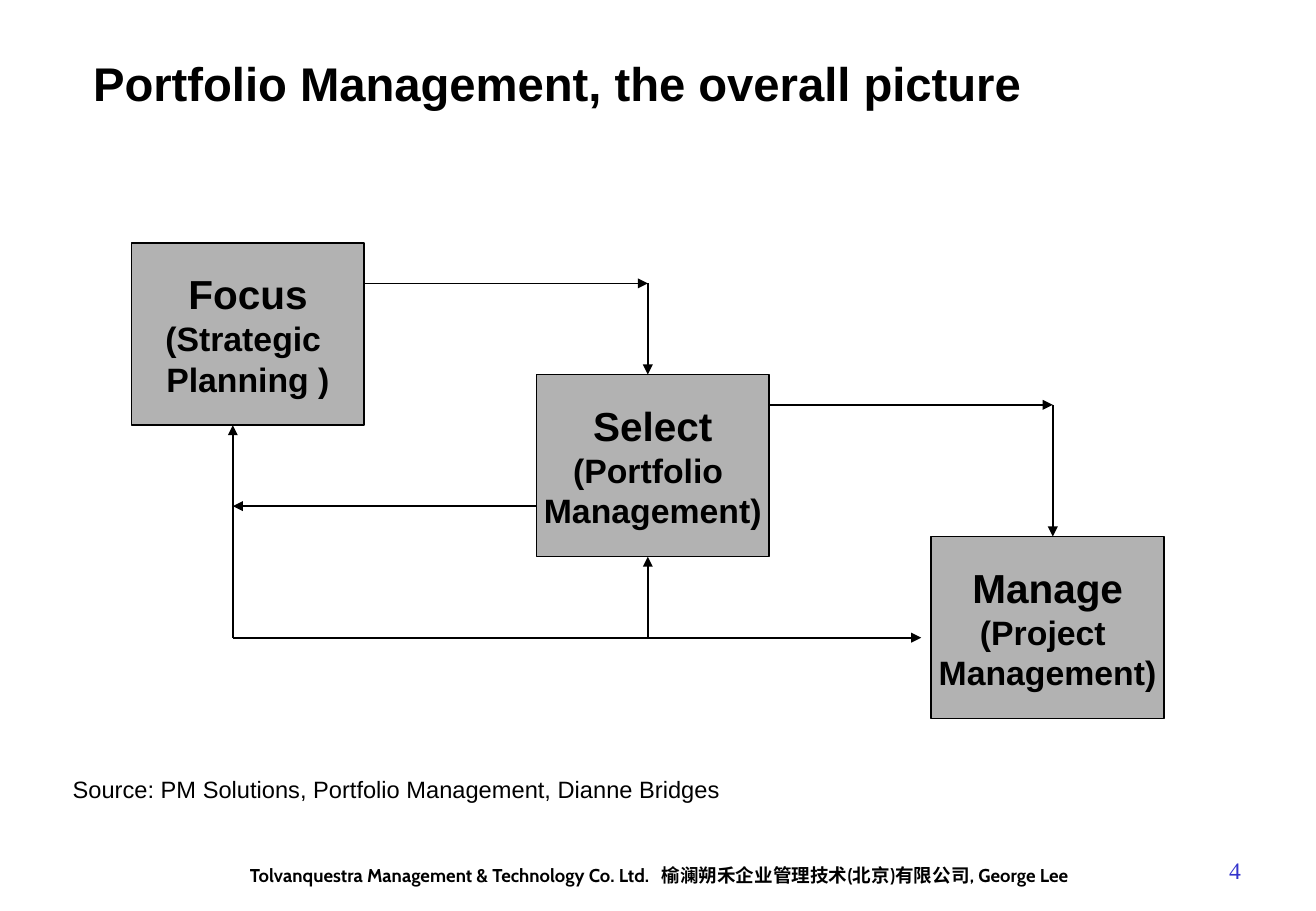
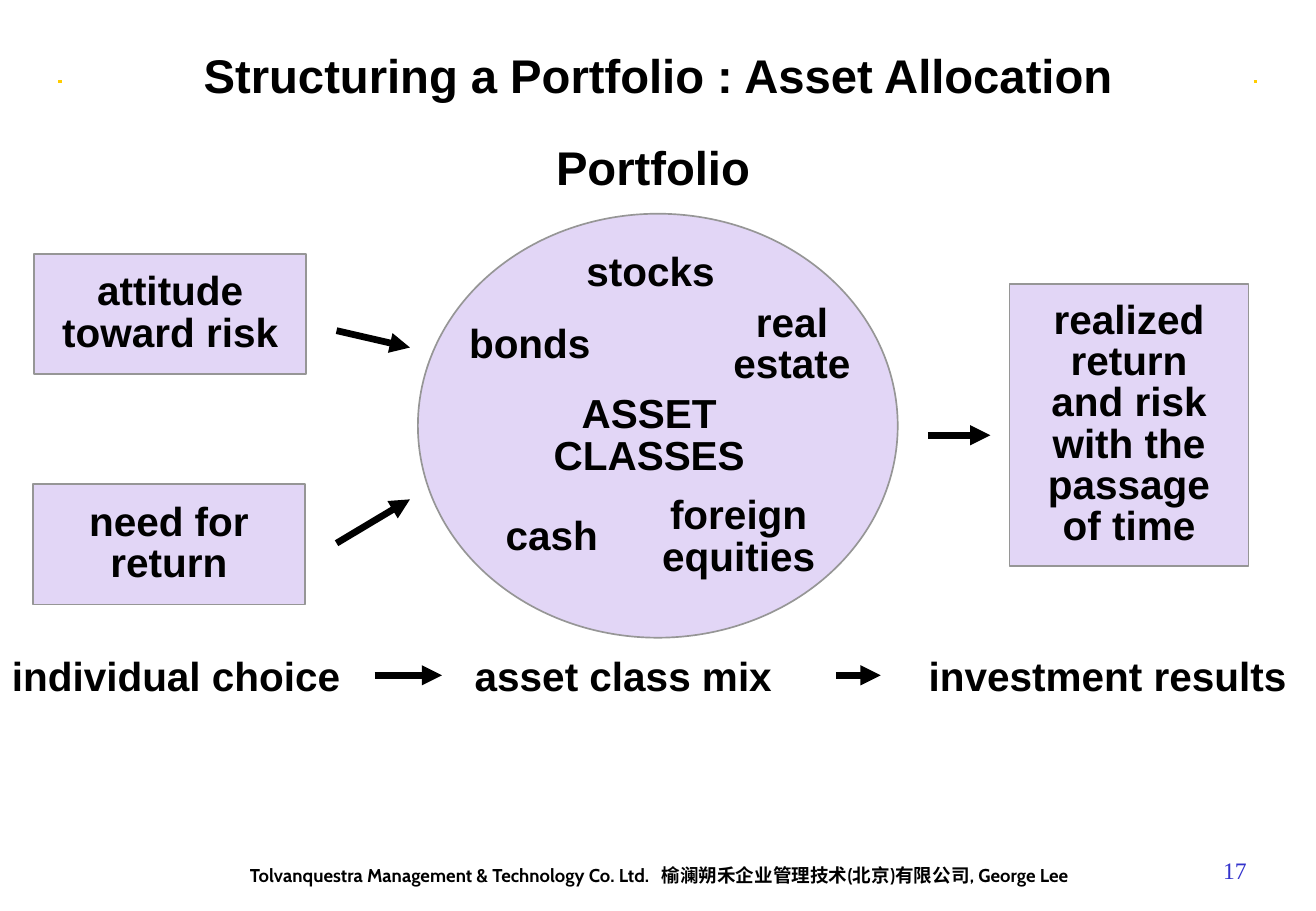
"""Build two portfolio management slides: an overview flow and an asset allocation diagram."""
from lxml import etree
from pptx import Presentation
from pptx.dml.color import RGBColor
from pptx.enum import shapes, text
from pptx.oxml.ns import qn
from pptx.util import Pt

BLACK = RGBColor(0x00, 0x00, 0x00)
GREY = RGBColor(0xB2, 0xB2, 0xB2)
EDGE = RGBColor(0x96, 0x96, 0x96)
LILAC = RGBColor(0xE2, 0xD6, 0xF6)
BLUE = RGBColor(0x33, 0x33, 0xCC)
YELLOW = RGBColor(0xFF, 0xCC, 0x00)

LEFT, CENTER = text.PP_ALIGN.LEFT, text.PP_ALIGN.CENTER
TOP, MIDDLE = text.MSO_ANCHOR.TOP, text.MSO_ANCHOR.MIDDLE
RECTANGLE, OVAL = shapes.MSO_SHAPE.RECTANGLE, shapes.MSO_SHAPE.OVAL

HEADING = {"name": "Arial", "size": Pt(28), "bold": True}
LARGE = {"name": "Arial", "size": Pt(24), "bold": True}
MEDIUM = {"name": "Arial", "size": Pt(20), "bold": True}
SOURCE = {"name": "Arial", "size": Pt(14), "bold": False}
FOOTER = {"name": "Cabin", "size": Pt(11), "bold": True}
NUMBER = {"name": "Times New Roman", "size": Pt(14), "bold": False}

FOOTER_TEXT = ("Tolvanquestra Management & Technology Co. Ltd.\t"
               "榆澜朔禾企业管理技术(北京)有限公司, George Lee")
FOOTER_TAB = 244
SOURCE_TEXT = "Source: PM Solutions, Portfolio Management, Dianne Bridges"

STAGE_SIZE = (138, 108)
STAGES = [
    ((78, 144), ["Focus", "(Strategic ", "Planning )"]),
    ((318, 222), ["Select", "(Portfolio ", "Management)"]),
    ((552, 318), ["Manage", "(Project ", "Management)"]),
]
FLOW_ARROWS = [
    (216, 168, 384, 168), (384, 168, 384, 222),
    (138, 378, 546, 378), (138, 378, 138, 252),
    (318, 300, 138, 300), (456, 240, 624, 240),
    (624, 240, 624, 318), (384, 378, 384, 330),
]

FACTORS = [
    ((20.2, 150.5, 161.3, 71.3), ["attitude", "toward risk"]),
    ((19.5, 287, 161.3, 71.3), ["need for", "return"]),
    ((598.3, 168.5, 141.8, 167),
     ["realized", "return", "and risk", "with the", "passage", "of time"]),
]
PORTFOLIO_OVAL = (247.7, 126.7, 284.4, 251.3)
ASSET_WIDTH = 140
ASSETS = [
    (385.6, 147, ["stocks"]),
    (314, 189.4, ["bonds"]),
    (469.4, 177, ["real", "estate"]),
    (384.8, 231, ["ASSET", "CLASSES"]),
    (327, 303, ["cash"]),
    (437.8, 291, ["foreign", "equities"]),
]
PHASES = [(0, "individual choice"), (274.3, "asset class mix"), (543.4, "investment results")]
ALLOCATION_ARROWS = [
    (199.5, 196, 243, 206), (199.5, 322, 243, 296), (550, 258, 587, 258),
    (222, 400.3, 262, 400.3), (495.5, 400.3, 522, 400.3),
]
TICKS = [(34.6, 48.2, 36.7, 48.2), (743, 48.2, 745.2, 48.2)]


def place(shape, box):
    """Set a shape's left, top, width and height in points."""
    for name, value in zip(("left", "top", "width", "height"), box):
        setattr(shape, name, Pt(value))


def write(shape, lines, formats, align=CENTER, anchor=TOP, wrap=True,
          spacing=1.0, color=BLACK):
    """Write one paragraph per line; the last format serves any further lines."""
    frame = shape.text_frame
    settings = {"auto_size": text.MSO_AUTO_SIZE.NONE, "word_wrap": wrap,
                "vertical_anchor": anchor, "margin_left": Pt(7.2),
                "margin_right": Pt(7.2), "margin_top": Pt(3.6), "margin_bottom": Pt(3.6)}
    for name, value in settings.items():
        setattr(frame, name, value)
    for index, line in enumerate(lines):
        paragraph = frame.paragraphs[0] if index == 0 else frame.add_paragraph()
        paragraph.alignment = align
        paragraph.line_spacing = spacing
        run = paragraph.add_run()
        run.text = line
        for name, value in formats[min(index, len(formats) - 1)].items():
            setattr(run.font, name, value)
        run.font.color.rgb = color


def add_label(slide, box, lines, font, **options):
    label = slide.shapes.add_textbox(*map(Pt, box))
    write(label, lines, [font], **options)
    return label


def add_block(slide, kind, box, fill, edge):
    block = slide.shapes.add_shape(kind, *map(Pt, box))
    block.shadow.inherit = False
    block.fill.solid()
    block.fill.fore_color.rgb = fill
    block.line.color.rgb = edge
    block.line.width = Pt(1)
    return block


def add_lines(slide, segments, width, color=BLACK, arrow=True):
    for segment in segments:
        line = slide.shapes.add_connector(shapes.MSO_CONNECTOR.STRAIGHT, *map(Pt, segment))
        line.line.color.rgb = color
        line.line.width = Pt(width)
        if arrow:
            etree.SubElement(line.line._get_or_add_ln(), qn("a:tailEnd"), type="triangle")
        etree.SubElement(line._element.spPr, qn("a:effectLst"))


def add_slide(presentation, title, title_box, number, **title_options):
    """Add a title-only slide with the shared footer and page number."""
    slide = presentation.slides.add_slide(presentation.slide_layouts[5])
    place(slide.shapes.title, title_box)
    write(slide.shapes.title, [title], [HEADING], **title_options)
    footer = add_label(slide, (141, 508.7, 560, 21), [FOOTER_TEXT], FOOTER, align=LEFT)
    properties = footer.text_frame.paragraphs[0]._p.get_or_add_pPr()
    tabs = etree.SubElement(properties, qn("a:tabLst"))
    etree.SubElement(tabs, qn("a:tab"), pos=str(Pt(FOOTER_TAB)), algn="l")
    add_label(slide, (684, 498, 96, 36), [number], NUMBER, anchor=MIDDLE, color=BLUE)
    return slide


def build_overview(presentation):
    slide = add_slide(presentation, "Portfolio Management, the overall picture",
                      (48, 24, 663, 60), "4", align=LEFT, anchor=MIDDLE, spacing=0.6)
    for corner, lines in STAGES:
        stage = add_block(slide, RECTANGLE, corner + STAGE_SIZE, GREY, BLACK)
        write(stage, lines, [LARGE, MEDIUM], anchor=MIDDLE, wrap=False)
    add_lines(slide, FLOW_ARROWS, 1)
    add_label(slide, (36, 456, 438, 24.5), [SOURCE_TEXT], SOURCE, align=LEFT)


def build_allocation(presentation):
    slide = add_slide(presentation, "Structuring a Portfolio : Asset Allocation",
                      (0, 24, 780, 40), "17")
    add_lines(slide, TICKS, 2, YELLOW, arrow=False)
    for box, lines in FACTORS:
        factor = add_block(slide, RECTANGLE, box, LILAC, EDGE)
        write(factor, lines, [LARGE], anchor=MIDDLE, wrap=False, spacing=0.85)
    add_block(slide, OVAL, PORTFOLIO_OVAL, LILAC, EDGE)
    add_label(slide, (317, 78.5, ASSET_WIDTH, 40), ["Portfolio"], HEADING)
    for center, top, lines in ASSETS:
        box = (center - ASSET_WIDTH / 2, top, ASSET_WIDTH, 7.2 + 24.5 * len(lines))
        add_label(slide, box, lines, LARGE, spacing=0.85)
    for left, phase in PHASES:
        add_label(slide, (left, 382.3, 230, 36), [phase], LARGE, align=LEFT)
    add_lines(slide, ALLOCATION_ARROWS, 4)


def main():
    presentation = Presentation()
    presentation.slide_width, presentation.slide_height = Pt(780), Pt(540)
    build_overview(presentation)
    build_allocation(presentation)
    presentation.save("out.pptx")


if __name__ == "__main__":
    main()
